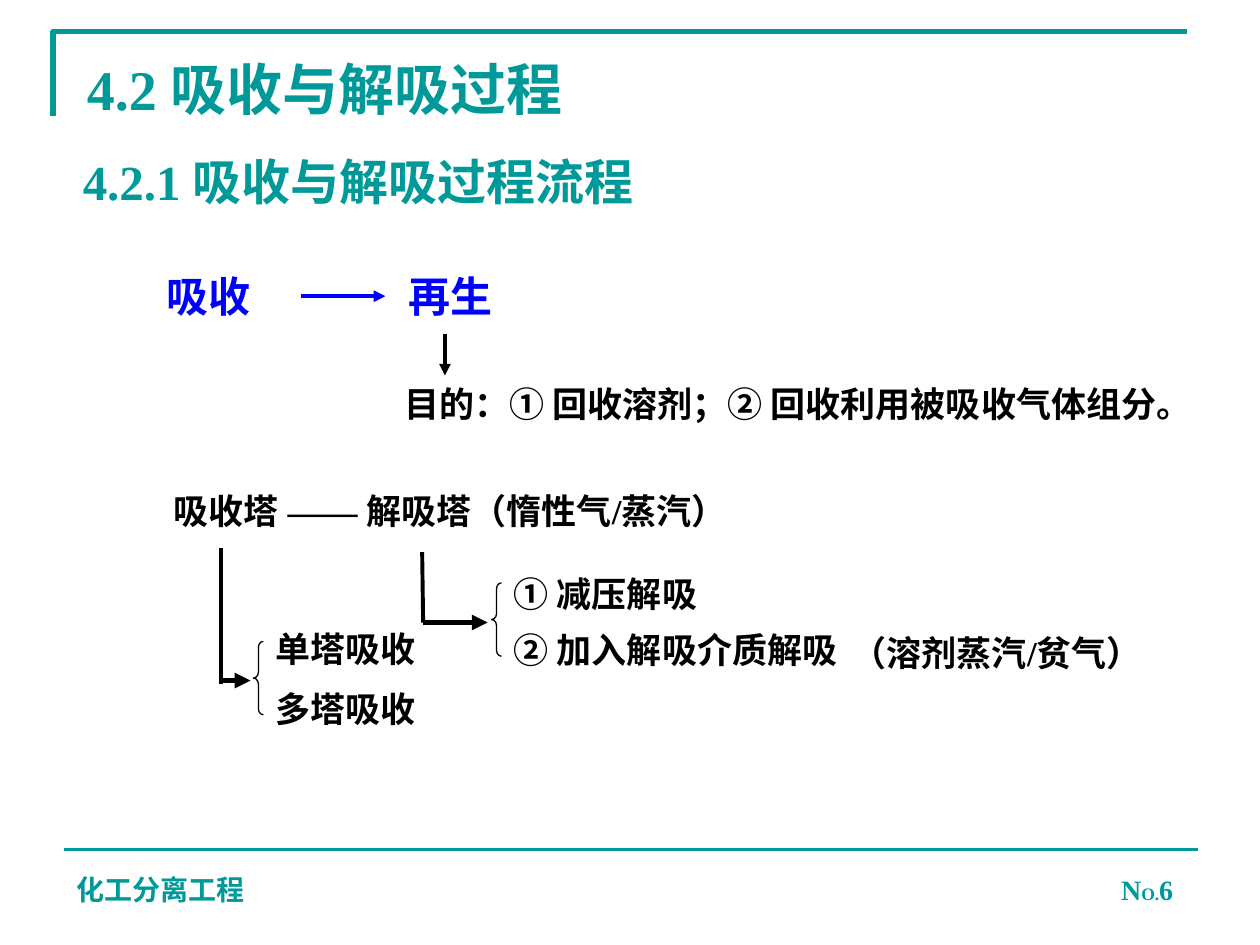
from dataclasses import dataclass

from lxml import etree
from pptx import Presentation
from pptx.dml.color import RGBColor
from pptx.enum.shapes import MSO_CONNECTOR, MSO_SHAPE
from pptx.enum.text import MSO_ANCHOR, PP_ALIGN
from pptx.oxml.ns import qn
from pptx.util import Cm, Pt

STRAIGHT = MSO_CONNECTOR.STRAIGHT
LEFT_BRACE = MSO_SHAPE.LEFT_BRACE
MIDDLE, BOTTOM = MSO_ANCHOR.MIDDLE, MSO_ANCHOR.BOTTOM
LEFT, RIGHT = PP_ALIGN.LEFT, PP_ALIGN.RIGHT


@dataclass(frozen=True)
class Theme:
    teal: RGBColor = RGBColor(0x00, 0x99, 0x99)
    blue: RGBColor = RGBColor(0x00, 0x00, 0xFF)
    black: RGBColor = RGBColor(0x00, 0x00, 0x00)
    latin: str = "Times New Roman"
    cjk: str = "Noto Sans CJK SC"
    title: int = 32
    subtitle: int = 28
    lead: int = 24
    body: int = 20
    footer: int = 16
    small: int = 10


THEME = Theme()


def set_east_asian(props, name):
    """Name the East Asian font, right after the Latin one."""
    ea = etree.Element(qn("a:ea"), typeface=name)
    props.find(qn("a:latin")).addnext(ea)


def add_text(s, x, y, w, h, paragraphs, size=THEME.body, color=THEME.black,
             anchor=MIDDLE, align=LEFT, gap=0):
    """Add bold text; each paragraph is a list of run texts."""
    tf = s.shapes.add_textbox(Cm(x), Cm(y), Cm(w), Cm(h)).text_frame
    tf.word_wrap = True
    tf.vertical_anchor = anchor
    for i, runs in enumerate(paragraphs):
        p = tf.add_paragraph() if i else tf.paragraphs[0]
        p.alignment = align
        if i:
            p.space_before = Pt(gap)
        p.font.size = Pt(size)
        p.font.bold = True
        p.font.color.rgb = color
        p.font.name = THEME.latin
        set_east_asian(p._p.pPr.find(qn("a:defRPr")), THEME.cjk)
        for text in runs:
            p.add_run().text = text
    return tf


def add_line(s, x1, y1, x2, y2, color=THEME.black, width=2.25, arrow=False):
    line = s.shapes.add_connector(STRAIGHT, Cm(x1), Cm(y1), Cm(x2), Cm(y2))
    line.line.color.rgb = color
    line.line.width = Pt(width)
    if arrow:
        etree.SubElement(line.line._get_or_add_ln(), qn("a:tailEnd"), type="triangle")
    etree.SubElement(line._element.spPr, qn("a:effectLst"))


def add_brace(s, x, y):
    brace = s.shapes.add_shape(LEFT_BRACE, Cm(x), Cm(y), Cm(0.2), Cm(1.48))
    brace.adjustments[0] = 0.6
    brace.shadow.inherit = False
    brace.fill.background()
    brace.line.color.rgb = THEME.black
    brace.line.width = Pt(0.75)


def add_frame(s):
    """Draw the corner rule around the title and the rule above the footer."""
    builder = s.shapes.build_freeform(Cm(1.07), Cm(2.34))
    builder.add_line_segments([(Cm(1.07), Cm(0.64)), (Cm(23.93), Cm(0.64))], close=False)
    corner = builder.convert_to_shape()
    corner.shadow.inherit = False
    corner.fill.background()
    corner.line.color.rgb = THEME.teal
    corner.line.width = Pt(3)
    add_line(s, 1.3, 17.12, 24.16, 17.12, THEME.teal, 1.5)


def add_footer(s):
    add_text(s, 1.3, 17.12, 6.22, 1.27, [["化工分离工程"]],
             THEME.footer, THEME.teal, BOTTOM)
    tf = add_text(s, 21.51, 17.12, 2.39, 1.27, [["N", "O.", "6"]],
                  THEME.footer, THEME.teal, BOTTOM, RIGHT)
    tf.paragraphs[0].runs[1].font.size = Pt(THEME.small)


def add_headings(s):
    add_text(s, 1.5, 1.05, 19.4, 1.47, [["4.2 吸收与解吸过程"]], THEME.title, THEME.teal)
    add_text(s, 1.42, 2.92, 14, 1.45, [["4.2.1 吸收与解吸过程流程"]],
             THEME.subtitle, THEME.teal)


def add_purpose(s):
    for x, text in ((3.1, "吸收"), (7.98, "再生")):
        add_text(s, x, 5.33, 3, 1.27, [[text]], THEME.lead, THEME.blue)
    add_line(s, 6.07, 5.97, 7.77, 5.97, THEME.blue, arrow=True)
    add_line(s, 8.97, 6.73, 8.97, 7.57, arrow=True)
    add_text(s, 7.9, 7.57, 17.3, 1.12, [["目的：① 回收溶剂；② 回收利用被吸收气体组分。"]])


def add_towers(s):
    tf = add_text(s, 3.25, 9.73, 13, 1.12, [["吸收塔", " —— ", "解吸塔（惰性气/蒸汽）"]])
    dash = tf.paragraphs[0].runs[1]
    dash.font.name = THEME.latin
    set_east_asian(dash._r.rPr, THEME.latin)

    add_line(s, 4.45, 11.05, 4.45, 13.79)
    add_line(s, 4.47, 13.72, 5.05, 13.72, width=3, arrow=True)
    add_brace(s, 5.11, 12.93)
    for y, text in ((12.52, "单塔吸收"), (13.72, "多塔吸收")):
        add_text(s, 5.31, y, 4, 1.12, [[text]])

    add_line(s, 8.51, 11.13, 8.53, 12.55)
    add_line(s, 8.53, 12.55, 9.83, 12.55, width=3, arrow=True)
    add_brace(s, 9.91, 11.75)
    add_text(s, 10.11, 11.33, 11.23, 2.39, [["① 减压解吸"], ["② 加入解吸介质解吸"]], gap=8)
    add_text(s, 16.92, 12.6, 7.2, 1.12, [["（溶剂蒸汽/贫气）"]])


def main():
    prs = Presentation()
    prs.slide_width, prs.slide_height = Cm(25.4), Cm(19.05)
    s = prs.slides.add_slide(prs.slide_layouts[6])
    add_frame(s)
    add_footer(s)
    add_headings(s)
    add_purpose(s)
    add_towers(s)
    prs.save("out.pptx")


if __name__ == "__main__":
    main()
